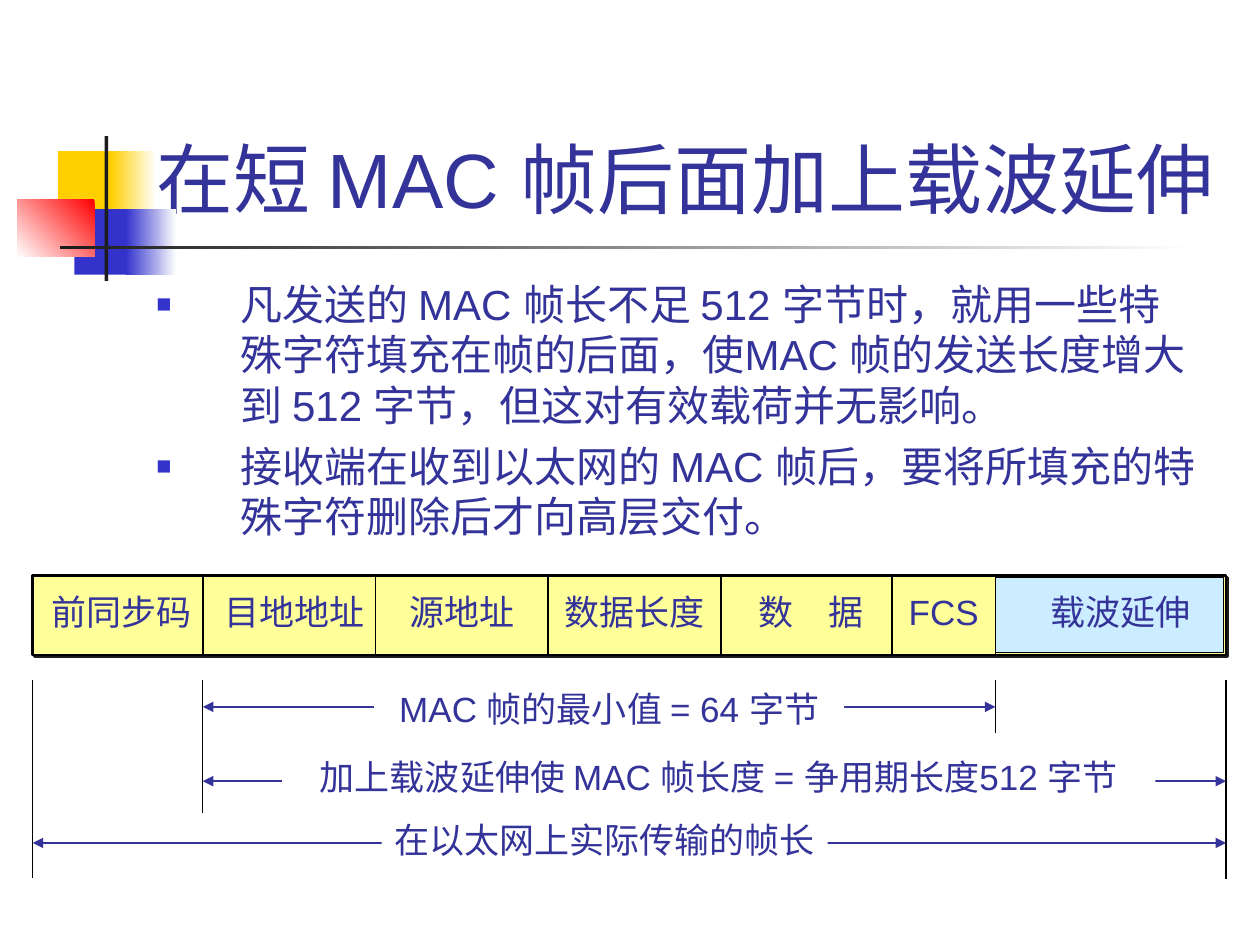
from itertools import accumulate

from lxml import etree
from pptx import Presentation
from pptx import util as u
from pptx.dml.color import RGBColor
from pptx.enum import shapes, text
from pptx.oxml.ns import qn

WHITE = RGBColor(0xFF, 0xFF, 0xFF)
BLACK = RGBColor(0x00, 0x00, 0x00)
CHARCOAL = RGBColor(0x1C, 0x1C, 0x1C)
INDIGO = RGBColor(0x33, 0x33, 0x99)
BLUE = RGBColor(0x33, 0x33, 0xCC)
GOLD = RGBColor(0xFF, 0xCF, 0x01)
RED = RGBColor(0xFF, 0x00, 0x00)
PALE_YELLOW = RGBColor(0xFF, 0xFF, 0x99)
PALE_BLUE = RGBColor(0xCC, 0xEC, 0xFF)

FRAME_LEFT, FRAME_TOP, FRAME_HEIGHT = 0.26, 4.57, 0.63
LABEL_HEIGHT = 0.43
GUIDE_TOP = 5.4

TITLE = "在短 MAC 帧后面加上载波延伸"
BULLETS = [
    "凡发送的 MAC 帧长不足 512 字节时，就用一些特殊字符填充在帧的后面，"
    "使MAC 帧的发送长度增大到 512 字节，但这对有效载荷并无影响。",
    "接收端在收到以太网的 MAC 帧后，要将所填充的特殊字符删除后才向高层交付。",
]
FIELDS = [
    ("前同步码", 1.35, 0.03),
    ("目地地址", 1.37, 0.04),
    ("源地址", 1.37, 0),
    ("数据长度", 1.37, 0),
    ("数　据", 1.36, 0.04),
    ("FCS", 0.82, 0),
    ("载波延伸", 1.83, 0.08),
]
EDGES = list(accumulate((width for _, width, _ in FIELDS), initial=FRAME_LEFT))
SPANS = [
    ("MAC 帧的最小值 = 64 字节", 1, 6, 5.61, 2.97, 5.41, 3.73),
    ("加上载波延伸使 MAC 帧长度 = 争用期长度512 字节", 1, 7, 6.2, 2.24, 5.95, 6.93),
    ("在以太网上实际传输的帧长", 0, 7, 6.69, 3.03, 6.45, 3.54),
]
GUIDES = [(0, 6.97), (1, 6.45), (6, 5.82), (7, 6.98)]
ORNAMENT = [
    ((0.46, 1.2, 0.48, 0.52), (GOLD,), 0),
    ((0.88, 1.2, 0.36, 0.52), (WHITE, GOLD), 180),
    ((0.59, 1.66, 0.46, 0.52), (BLUE,), 0),
    ((1, 1.66, 0.4, 0.52), (WHITE, BLUE), 180),
    ((0.14, 1.58, 0.61, 0.46), (RED, WHITE), 225),
    ((0.83, 1.08, 0.03, 1.15), (CHARCOAL,), 0),
    ((0.48, 1.95, 9, 0.03), (WHITE, CHARCOAL), 180),
]


def inches(*lengths):
    return [u.Inches(length) for length in lengths]


def apply(target, formats):
    for name, value in formats.items():
        setattr(target, name, value)


def add_element(parent, tag, **attributes):
    return etree.SubElement(parent, qn(tag), attributes)


def write(paragraph, words, size):
    run = paragraph.add_run()
    run.text = words
    apply(run.font, {"name": "Arial", "size": u.Pt(size)})
    run.font.color.rgb = INDIGO


def add_block(slide, box, colors, angle=0, line_width=0):
    block = slide.shapes.add_shape(shapes.MSO_SHAPE.RECTANGLE, *inches(*box))
    block.shadow.inherit = False
    if len(colors) == 1:
        block.fill.solid()
        block.fill.fore_color.rgb = colors[0]
    else:
        block.fill.gradient()
        block.fill.gradient_angle = angle
        for stop, color in zip(block.fill.gradient_stops, colors):
            stop.color.rgb = color
    if line_width:
        block.line.color.rgb = BLACK
        block.line.width = u.Pt(line_width)
    else:
        block.line.fill.background()
    return block


def add_line(slide, start, end, color, width, arrows=False):
    line = slide.shapes.add_connector(
        shapes.MSO_CONNECTOR.STRAIGHT, *inches(*start, *end))
    line.line.color.rgb = color
    line.line.width = u.Pt(width)
    if arrows:
        outline = line.line._get_or_add_ln()
        for tag in ("a:headEnd", "a:tailEnd"):
            add_element(outline, tag, type="triangle")
    add_element(line._element.spPr, "a:effectLst")


def add_label(slide, words, box, color=None):
    if color is None:
        label = slide.shapes.add_textbox(*inches(*box))
    else:
        label = add_block(slide, box, (color,))
    apply(label.text_frame, {
        "word_wrap": False,
        "auto_size": text.MSO_AUTO_SIZE.SHAPE_TO_FIT_TEXT,
        "vertical_anchor": text.MSO_ANCHOR.TOP,
    })
    paragraph = label.text_frame.paragraphs[0]
    paragraph.alignment = text.PP_ALIGN.CENTER
    write(paragraph, words, 20)


def place(placeholder, box, anchor):
    apply(placeholder, dict(zip(("left", "top", "width", "height"), inches(*box))))
    apply(placeholder.text_frame, {
        "auto_size": text.MSO_AUTO_SIZE.NONE,
        "vertical_anchor": anchor,
        "word_wrap": True,
    })
    return placeholder.text_frame


def add_title(slide):
    frame = place(slide.shapes.title, (1, 0.23, 8.88, 1.6), text.MSO_ANCHOR.BOTTOM)
    frame.paragraphs[0].alignment = text.PP_ALIGN.CENTER
    write(frame.paragraphs[0], TITLE, 44)


def add_bullets(slide):
    frame = place(slide.placeholders[1], (1.14, 2.16, 8.5, 2.45), text.MSO_ANCHOR.TOP)
    for index, words in enumerate(BULLETS):
        paragraph = frame.add_paragraph() if index else frame.paragraphs[0]
        paragraph.space_before = u.Pt(6 if index else 0)
        properties = paragraph._p.get_or_add_pPr()
        indent = u.Inches(0.67)
        properties.set("marL", str(indent))
        properties.set("indent", str(-indent))
        color = add_element(properties, "a:buClr")
        add_element(color, "a:srgbClr", val=str(BLUE))
        add_element(properties, "a:buSzPct", val="60000")
        add_element(properties, "a:buFont", typeface="Arial")
        add_element(properties, "a:buChar", char="■")
        write(paragraph, words, 24)


def add_frame(slide):
    frame = add_block(
        slide, (FRAME_LEFT, FRAME_TOP, EDGES[-1] - FRAME_LEFT, FRAME_HEIGHT),
        (PALE_YELLOW,), line_width=1.5)
    effects = frame._element.spPr.find(qn("a:effectLst"))
    shadow = add_element(effects, "a:outerShdw", dist=str(u.Pt(1.4)), dir="2700000")
    add_element(shadow, "a:srgbClr", val=str(CHARCOAL))
    add_block(slide, (EDGES[6], 4.58, 1.81, 0.6), (PALE_BLUE,), line_width=0.75)
    for edge in EDGES[1:-1]:
        add_line(slide, (edge, FRAME_TOP), (edge, FRAME_TOP + FRAME_HEIGHT), BLACK, 1)
    for (words, width, nudge), left in zip(FIELDS, EDGES):
        add_label(slide, words, (left + nudge, 4.64, width, LABEL_HEIGHT))


def add_spans(slide):
    for edge, bottom in GUIDES:
        add_line(slide, (EDGES[edge], GUIDE_TOP), (EDGES[edge], bottom), BLACK, 0.75)
    for words, first, last, height, left, top, width in SPANS:
        add_line(slide, (EDGES[first], height), (EDGES[last], height),
                 INDIGO, 1, arrows=True)
        add_label(slide, words, (left, top, width, LABEL_HEIGHT), WHITE)


def main():
    presentation = Presentation()
    apply(presentation, {"slide_width": u.Inches(10), "slide_height": u.Inches(7.5)})
    slide = presentation.slides.add_slide(presentation.slide_layouts[1])
    for box, colors, angle in ORNAMENT:
        add_block(slide, box, colors, angle)
    add_title(slide)
    add_bullets(slide)
    add_frame(slide)
    add_spans(slide)
    presentation.save("out.pptx")


if __name__ == "__main__":
    main()
